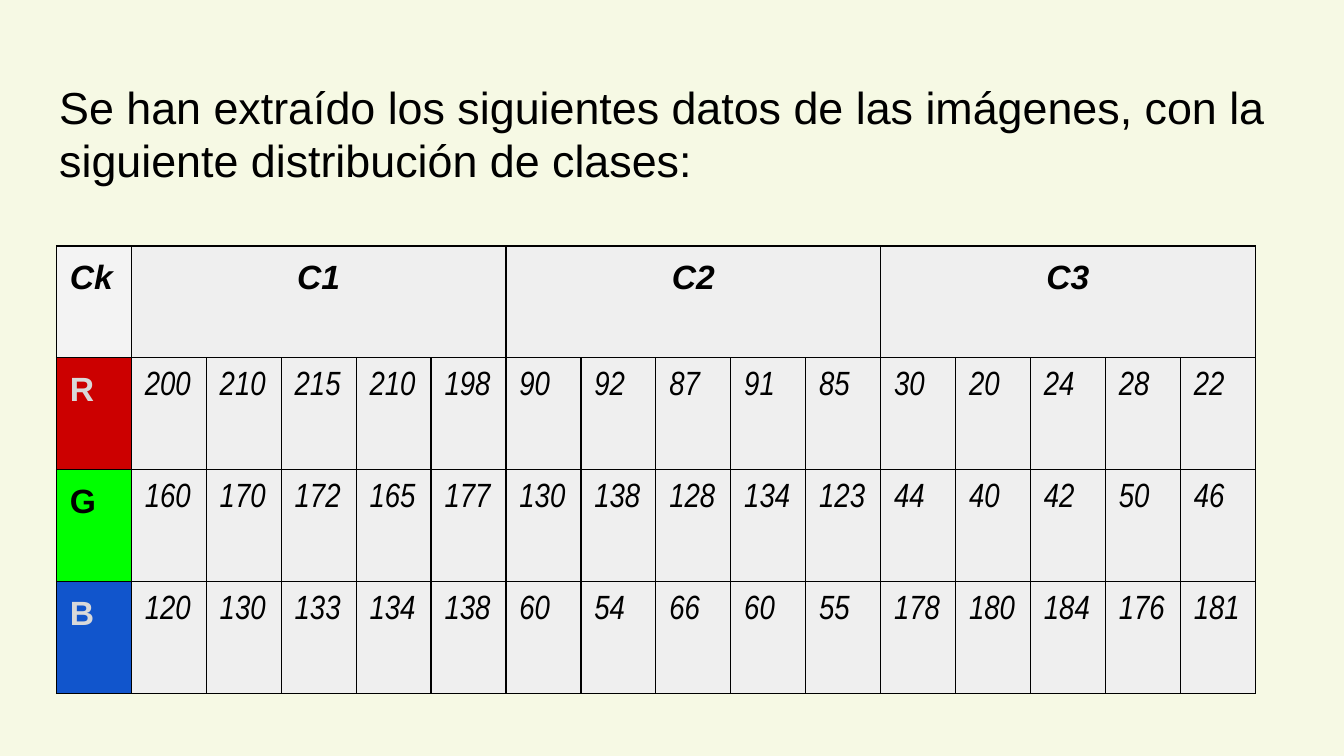
"""Build a slide with the RGB samples of three classes in a table."""
from lxml import etree
from pptx import Presentation, util as u
from pptx.dml.color import RGBColor
from pptx.enum import text
from pptx.oxml import ns

COLORS = {
    "background": "F6F9E4", "ink": "000000", "pale": "D9D9D9",
    "corner": "F3F3F3", "cell": "EFEFEF",
    "red": "CC0000", "green": "00FF00", "blue": "1155CC",
}
TITLE = "Se han extraído los siguientes datos de las imágenes, con la siguiente distribución de clases:"
CORNER = "Ck"
CLASSES = ["C1", "C2", "C3"]
CHANNELS = [
    ("R", "red", "pale", [200, 210, 215, 210, 198, 90, 92, 87, 91, 85, 30, 20, 24, 28, 22]),
    ("G", "green", "ink", [160, 170, 172, 165, 177, 130, 138, 128, 134, 123, 44, 40, 42, 50, 46]),
    ("B", "blue", "pale", [120, 130, 133, 134, 138, 60, 54, 66, 60, 55, 178, 180, 184, 176, 181]),
]
SAMPLES = len(CHANNELS[0][3]) // len(CLASSES)
COLUMNS = 1 + SAMPLES * len(CLASSES)
ROWS = 1 + len(CHANNELS)
SLIDE_WIDTH = 10
SLIDE_HEIGHT = SLIDE_WIDTH * 9 / 16
TABLE_WIDTH, TABLE_HEIGHT = 8.92, 3.33


def rgb(name):
    return RGBColor.from_string(COLORS[name])


def style(frame, size, color="ink", face="Arial", bold=False, italic=False):
    for para in frame.paragraphs:
        for span in para.runs:
            font = span.font
            font.name, font.size = face, u.Pt(size)
            font.bold, font.italic = bold, italic
            font.color.rgb = rgb(color)


def set_margins(item):
    item.margin_left = item.margin_right = u.Inches(0.1)
    item.margin_top = item.margin_bottom = u.Inches(0.1)


def add_borders(cell):
    properties = cell._tc.get_or_add_tcPr()
    for side in ("lnL", "lnR", "lnT", "lnB"):
        line = etree.SubElement(properties, ns.qn(f"a:{side}"), w=str(u.Pt(0.75)))
        fill = etree.SubElement(line, ns.qn("a:solidFill"))
        etree.SubElement(fill, ns.qn("a:srgbClr"), val=COLORS["ink"])


def fill_cell(cell, content, fill="cell", **font):
    cell.text_frame.text = str(content)
    style(cell.text_frame, 18, **font)
    cell.fill.solid()
    cell.fill.fore_color.rgb = rgb(fill)


def add_title(page):
    title = page.shapes.title
    title.left, title.top = u.Inches(0.34), u.Inches(0.49)
    title.width, title.height = u.Inches(9.32), u.Inches(0.63)
    frame = title.text_frame
    frame.text = TITLE
    frame.word_wrap = True
    frame.auto_size = text.MSO_AUTO_SIZE.NONE
    frame.vertical_anchor = text.MSO_ANCHOR.TOP
    set_margins(frame)
    frame.paragraphs[0].alignment = text.PP_ALIGN.LEFT
    frame.paragraphs[0].line_spacing = 1.0
    style(frame, 24)


def add_samples(page):
    table = page.shapes.add_table(
        ROWS, COLUMNS, u.Inches(0.42), u.Inches(1.83),
        u.Inches(TABLE_WIDTH), u.Inches(TABLE_HEIGHT)).table
    table.first_row = table.horz_banding = False
    for cell in table.iter_cells():
        set_margins(cell)
        add_borders(cell)

    fill_cell(table.cell(0, 0), CORNER, "corner", bold=True, italic=True)
    for index, name in enumerate(CLASSES):
        first = 1 + index * SAMPLES
        header = table.cell(0, first)
        header.merge(table.cell(0, first + SAMPLES - 1))
        fill_cell(header, name, bold=True, italic=True)
        header.text_frame.paragraphs[0].alignment = text.PP_ALIGN.CENTER
    for row, (name, fill, color, values) in enumerate(CHANNELS, 1):
        fill_cell(table.cell(row, 0), name, fill, color=color, bold=True)
        for column, value in enumerate(values, 1):
            fill_cell(table.cell(row, column), value, face="Arial Narrow", italic=True)


def main():
    deck = Presentation()
    deck.slide_width, deck.slide_height = u.Inches(SLIDE_WIDTH), u.Inches(SLIDE_HEIGHT)
    page = deck.slides.add_slide(deck.slide_layouts[5])
    page.background.fill.solid()
    page.background.fill.fore_color.rgb = rgb("background")
    add_title(page)
    add_samples(page)
    deck.save("out.pptx")


if __name__ == "__main__":
    main()
